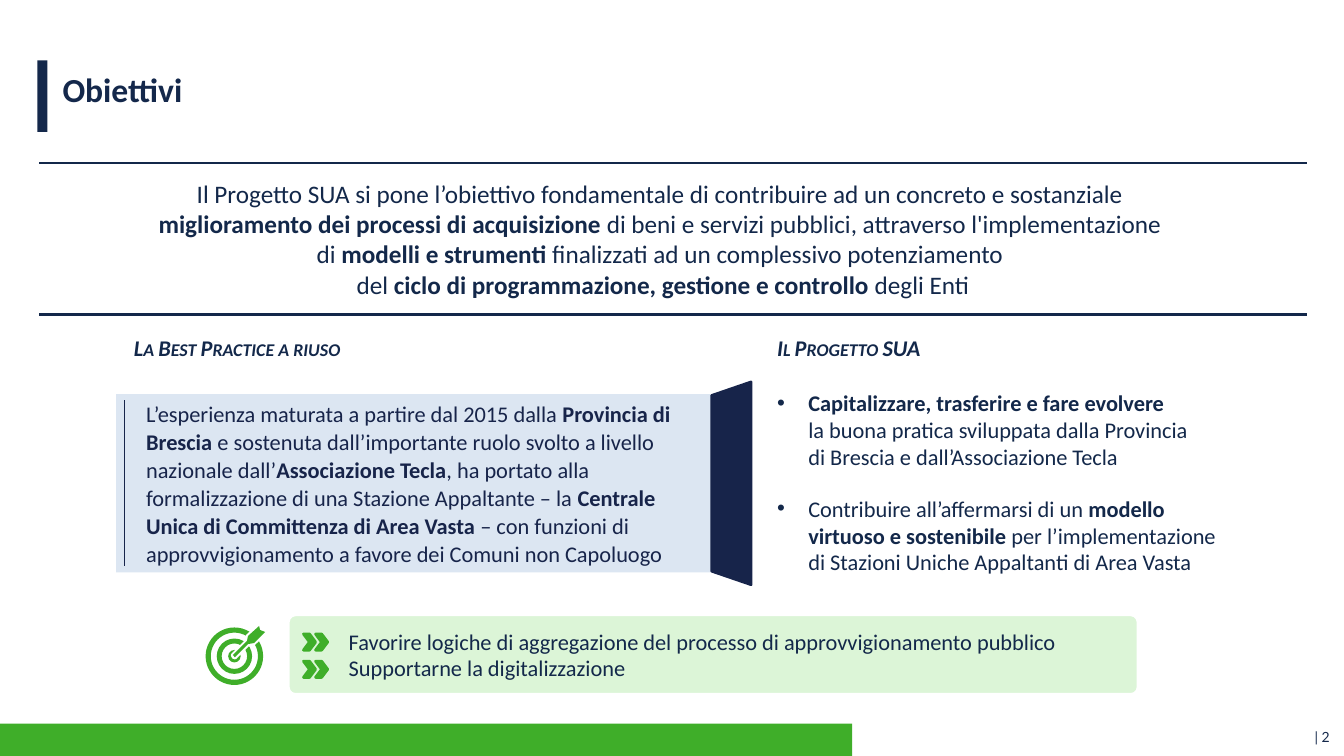
"""Builds the "Obiettivi" slide of the SUA project deck."""
from itertools import product

from lxml.etree import SubElement
from pptx import Presentation
from pptx.dml.color import RGBColor
from pptx.enum.shapes import MSO_CONNECTOR, MSO_SHAPE
from pptx.enum.text import MSO_ANCHOR, PP_ALIGN
from pptx.oxml.ns import qn
from pptx.util import Inches, Pt

THEME = {
    "ink": RGBColor.from_string("13284A"),
    "title": RGBColor.from_string("14284B"),
    "navy": RGBColor.from_string("17244A"),
    "green": RGBColor.from_string("3FAE29"),
    "mint": RGBColor.from_string("DCF5D7"),
    "ice": RGBColor.from_string("DCE6F2"),
    "white": RGBColor.from_string("FFFFFF"),
    "font": "Calibri", "page_font": "Lato",
    "title_size": 24, "intro_size": 18, "body_size": 16, "page_size": 10,
}

prs = Presentation()
prs.slide_width, prs.slide_height = Inches(13.333), Inches(7.5)
X, Y = prs.slide_width / 100, prs.slide_height / 100
s = prs.slides.add_slide(prs.slide_layouts[6])


def add_shape(kind, box, fill, line=None, width=2, adj=None, rotation=0):
    """Place a preset shape; box is in hundredths of the slide's size."""
    x, y, w, h = box
    sp = s.shapes.add_shape(kind, int(x * X), int(y * Y), int(w * X), int(h * Y))
    sp.shadow.inherit = False
    sp.fill.solid()
    sp.fill.fore_color.rgb = THEME[fill]
    if line:
        sp.line.color.rgb = THEME[line]
        sp.line.width = Pt(width)
    else:
        sp.line.fill.background()
    if adj is not None:
        sp.adjustments[0] = adj
    sp.rotation = rotation
    return sp


def add_text(paragraphs, box=None, sp=None, size="body_size", color="ink", font="font",
             align=PP_ALIGN.LEFT, anchor=MSO_ANCHOR.TOP, bold=False, small_caps=False,
             margin=0, bullet=False, before=0, after=0, spacing=None, insets=None):
    """Write paragraphs into a shape or a new box; ** switches bold, a newline breaks."""
    if sp is None:
        x, y, w, h = box
        sp = s.shapes.add_textbox(int(x * X), int(y * Y), int(w * X), int(h * Y))
    tf = sp.text_frame
    tf.word_wrap, tf.vertical_anchor = True, anchor
    if insets:
        tf.margin_left, tf.margin_top, tf.margin_right, tf.margin_bottom = map(Inches, insets)
    for i, content in enumerate(paragraphs):
        p = tf.add_paragraph() if i else tf.paragraphs[0]
        p.alignment, p.space_before, p.space_after = align, Pt(before), Pt(after)
        if spacing:
            p.line_spacing = Pt(spacing)
        pPr = p._p.get_or_add_pPr()
        pPr.set("marL", str(Inches(margin)))
        pPr.set("indent", str(-Inches(margin) if bullet else 0))
        if bullet:
            SubElement(pPr, qn("a:buFont")).set("typeface", "Arial")
            SubElement(pPr, qn("a:buChar")).set("char", "•")
        for j, part in enumerate(content.split("**")):
            for k, words in enumerate(part.split("\n")):
                if k:
                    p.add_line_break()
                if not words:
                    continue
                r = p.add_run()
                r.text = words
                r.font.name, r.font.size = THEME[font], Pt(THEME[size])
                r.font.color.rgb = THEME[color]
                r.font.bold = bold or j % 2 == 1
                if small_caps:
                    r.font.italic = True
                    r._r.get_or_add_rPr().set("cap", "small")


add_shape(MSO_SHAPE.RECTANGLE, (0, 95.73, 63.4, 4.27), "green")
add_shape(MSO_SHAPE.RECTANGLE, (2.78, 8, 0.75, 9.47), "title")
add_text(["| 2"], (75.98, 95.73, 23.7, 3.6), size="page_size", color="title",
         font="page_font", align=PP_ALIGN.RIGHT)
add_text(["Obiettivi"], (4.35, 9.07, 90, 5.2), size="title_size", color="title",
         bold=True, insets=(0.04, 0, 0.04, 0))

add_text(["Il Progetto SUA si pone l’obiettivo fondamentale di contribuire ad un concreto "
          "e sostanziale \n**miglioramento dei processi di acquisizione **di beni e servizi "
          "pubblici, attraverso l'implementazione \ndi **modelli e strumenti **finalizzati "
          "ad un complessivo potenziamento \ndel **ciclo di programmazione, gestione e "
          "controllo **degli Enti"],
         (5.03, 22.93, 88.58, 17.47), size="intro_size", align=PP_ALIGN.CENTER)

for x, heading in ((9.23, "La Best Practice a riuso"), (57.08, "Il Progetto SUA")):
    add_text([heading], (x, 43.6, 29.55, 4.93), bold=True, small_caps=True)

add_text(["**Capitalizzare, trasferire e fare evolvere \n**la buona pratica sviluppata dalla "
          "Provincia \ndi Brescia e dall’Associazione Tecla",
          "Contribuire all’affermarsi di un **modello virtuoso e sostenibile **per "
          "l’implementazione di Stazioni Uniche Appaltanti di Area Vasta"],
         (57.08, 50.8, 34.58, 26.27), margin=0.31, bullet=True, before=6, after=12)

practice = add_shape(MSO_SHAPE.RECTANGLE, (8.63, 52.13, 44.33, 23.6), "ice")
add_text(["L’esperienza maturata a partire dal 2015 dalla **Provincia di Brescia **e sostenuta "
          "dall’importante ruolo svolto a livello nazionale dall’**Associazione Tecla**, ha "
          "portato alla formalizzazione di una Stazione Appaltante – la **Centrale Unica di "
          "Committenza di Area Vasta **– con funzioni di approvvigionamento a favore dei "
          "Comuni non Capoluogo"],
         sp=practice, color="navy", anchor=MSO_ANCHOR.MIDDLE, margin=0.2, before=12, spacing=20)
add_shape(MSO_SHAPE.TRAPEZOID, (46.88, 61.33, 15.08, 5.2), "navy", "navy",
          adj=0.344, rotation=270)

for x1, y1, x2, y2, color, width in ((2.93, 21.6, 97.28, 21.6, "ink", 1.5),
                                     (2.93, 41.6, 97.28, 41.6, "ink", 1.5),
                                     (9.23, 52.93, 9.23, 74.93, "navy", 0.75)):
    rule = s.shapes.add_connector(MSO_CONNECTOR.STRAIGHT, int(x1 * X), int(y1 * Y),
                                  int(x2 * X), int(y2 * Y))
    rule.line.color.rgb = THEME[color]
    rule.line.width = Pt(width)
    SubElement(rule._element.spPr, qn("a:effectLst"))

target_x, target_y = 17.44, 86.8
for size, thickness in ((4.28, 0.09), (2.63, 0.14), (0.93, 0.25)):
    height = size * X / Y
    add_shape(MSO_SHAPE.DONUT, (target_x - size / 2, target_y - height / 2, size, height),
              "green", adj=thickness)

dart = [(int((target_x + dx) * X), int(target_y * Y + dy * X)) for dx, dy in (
    (1.84, -2.25), (1.01, -1.5), (0.94, -1.13), (-0.11, -0.08), (0.04, 0.08),
    (1.01, -0.9), (1.46, -0.98), (2.29, -1.8), (1.91, -1.95))]
for color in ("white", "green"):
    outline = s.shapes.build_freeform(*dart[0])
    outline.add_line_segments(dart[1:], close=True)
    sp = outline.convert_to_shape()
    sp.shadow.inherit = False
    sp.fill.solid()
    sp.fill.fore_color.rgb = THEME[color]
    if color == "white":
        sp.line.color.rgb = THEME[color]
        sp.line.width = Pt(3)
    else:
        sp.line.fill.background()

goals = add_shape(MSO_SHAPE.ROUNDED_RECTANGLE, (21.45, 81.33, 63.23, 10.53), "mint", "white",
                  adj=0.09)
add_text(["Favorire logiche di aggregazione del processo di approvvigionamento pubblico",
          "Supportarne la digitalizzazione"],
         sp=goals, anchor=MSO_ANCHOR.MIDDLE, margin=0.48)
for row, col in product(range(2), repeat=2):
    add_shape(MSO_SHAPE.CHEVRON, (22.58 + 0.9 * col, 83.87 + 3.6 * row, 0.9, 2.13),
              "green", "green")

prs.save("out.pptx")
